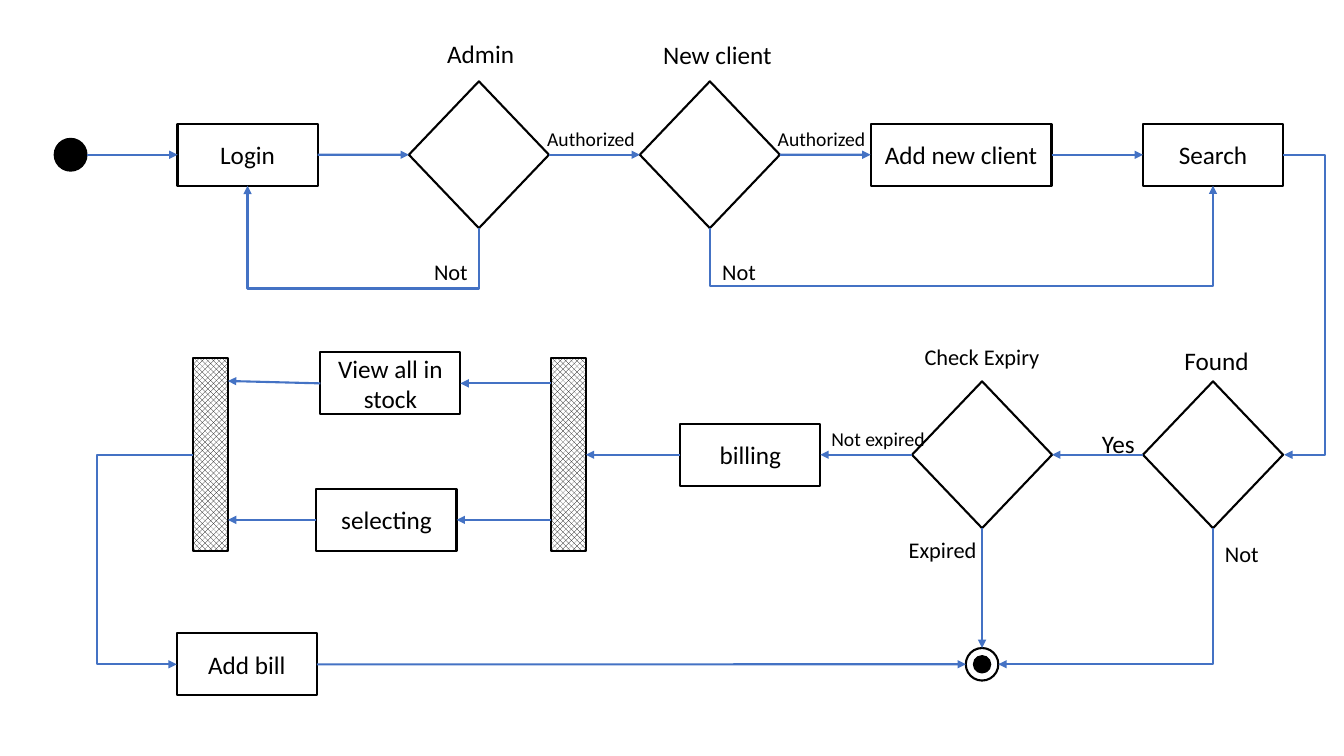
from dataclasses import dataclass

from lxml.etree import SubElement
from pptx import Presentation
from pptx.dml.color import RGBColor
from pptx.enum.dml import MSO_PATTERN
from pptx.enum.shapes import MSO_CONNECTOR, MSO_SHAPE
from pptx.enum.text import MSO_ANCHOR, PP_ALIGN
from pptx.oxml.ns import qn
from pptx.util import Cm, Pt


@dataclass(frozen=True)
class Theme:
    font: str = "Calibri"
    ink: RGBColor = RGBColor(0x00, 0x00, 0x00)
    paper: RGBColor = RGBColor(0xFF, 0xFF, 0xFF)
    arrow: RGBColor = RGBColor(0x44, 0x72, 0xC4)
    large: int = 18
    medium: int = 16
    small: int = 14
    stroke: float = 1.5
    thin: float = 1


THEME = Theme()

# Row and column centres, in centimetres
TOP, MIDDLE, BOTTOM = 3.9, 11.46, 16.74
UPPER, LOWER = 9.66, 13.1
LOGIN_X, ADMIN_X, CLIENT_X, SEARCH_X, EXPIRY_X = 6.24, 12.07, 17.89, 30.57, 24.75


def write(shape, text, size):
    frame = shape.text_frame
    frame.word_wrap = True
    para = frame.paragraphs[0]
    para.text = text
    para.font.name = THEME.font
    para.font.size = Pt(size)
    para.font.color.rgb = THEME.ink
    return para


def add_node(page, kind, x, y, width, height, fill=None, stroke=THEME.stroke):
    """Add an outlined shape centred on (x, y)."""
    node = page.shapes.add_shape(
        kind, Cm(x - width / 2), Cm(y - height / 2), Cm(width), Cm(height))
    node.shadow.inherit = False
    if fill is None:
        node.fill.background()
    else:
        node.fill.solid()
        node.fill.fore_color.rgb = fill
    node.line.color.rgb = THEME.ink
    node.line.width = Pt(stroke)
    return node


def add_activity(page, text, x, y, width=3.53):
    box = add_node(page, MSO_SHAPE.RECTANGLE, x, y, width, 1.56, THEME.paper)
    write(box, text, THEME.large).alignment = PP_ALIGN.CENTER
    box.text_frame.vertical_anchor = MSO_ANCHOR.MIDDLE
    return box


def add_decision(page, x, y):
    return add_node(page, MSO_SHAPE.DIAMOND, x, y, 3.53, 3.7)


def add_circle(page, x, y, diameter, fill, stroke):
    return add_node(page, MSO_SHAPE.OVAL, x, y, diameter, diameter, fill, stroke)


def add_bar(page, x):
    bar = add_node(page, MSO_SHAPE.FLOWCHART_PROCESS, x, MIDDLE, 0.87, 4.86)
    bar.fill.patterned()
    bar.fill.pattern = MSO_PATTERN.OUTLINED_DIAMOND
    bar.fill.fore_color.rgb = THEME.ink
    bar.fill.back_color.rgb = THEME.paper
    return bar


def add_label(page, text, left, top, width, size):
    box = page.shapes.add_textbox(Cm(left), Cm(top), Cm(width), Cm(1))
    write(box, text, size)


def left_of(shape, y=None):
    return shape.left, middle_of(shape) if y is None else Cm(y)


def right_of(shape, y=None):
    return shape.left + shape.width, middle_of(shape) if y is None else Cm(y)


def middle_of(shape):
    return shape.top + shape.height // 2


def above(shape):
    return shape.left + shape.width // 2, shape.top


def below(shape):
    return shape.left + shape.width // 2, shape.top + shape.height


def add_arrow(page, start, end, kind=MSO_CONNECTOR.STRAIGHT):
    arrow = page.shapes.add_connector(kind, *start, *end)
    arrow.line.color.rgb = THEME.arrow
    arrow.line.width = Pt(THEME.stroke)
    properties = arrow.element.spPr
    SubElement(properties.find(qn("a:ln")), qn("a:tailEnd"), type="triangle")
    SubElement(properties, qn("a:effectLst"))
    return arrow


def set_turn(arrow, start, end, turn):
    """Place the middle leg of an elbow at the given coordinate."""
    share = round((Cm(turn) - start) / (end - start) * 100000)
    guides = arrow.element.spPr.find(qn("a:prstGeom")).get_or_add_avLst()
    SubElement(guides, qn("a:gd"), name="adj1", fmla=f"val {share}")


def add_sideways_elbow(page, start, end, turn_x):
    """Leave horizontally, run down at turn_x, arrive horizontally."""
    arrow = add_arrow(page, start, end, MSO_CONNECTOR.ELBOW)
    set_turn(arrow, start[0], end[0], turn_x)


def add_downward_elbow(page, start, end, turn_y=None):
    """Leave vertically and run across at turn_y, or make one corner without it."""
    centre_x, centre_y = (start[0] + end[0]) // 2, (start[1] + end[1]) // 2
    # The frame is given before its quarter turn, so both ends are turned back.
    turned = [(centre_x + y - centre_y, centre_y - x + centre_x) for x, y in (start, end)]
    arrow = add_arrow(page, *turned, MSO_CONNECTOR.ELBOW)
    arrow.rotation = 90
    if turn_y is None:
        arrow.element.spPr.find(qn("a:prstGeom")).set("prst", "bentConnector2")
    else:
        set_turn(arrow, start[1], end[1], turn_y)


def main():
    deck = Presentation()
    deck.slide_width, deck.slide_height = Cm(33.87), Cm(19.05)
    page = deck.slides.add_slide(deck.slide_layouts[6])

    begin = add_circle(page, 1.78, TOP, 0.82, THEME.ink, THEME.thin)
    login = add_activity(page, "Login", LOGIN_X, TOP)
    admin = add_decision(page, ADMIN_X, TOP)
    new_client = add_decision(page, CLIENT_X, TOP)
    add_client = add_activity(page, "Add new client", 24.22, TOP, 4.56)
    search = add_activity(page, "Search", SEARCH_X, TOP)
    found = add_decision(page, SEARCH_X, MIDDLE)
    expiry = add_decision(page, EXPIRY_X, MIDDLE)
    billing = add_activity(page, "billing", 18.91, MIDDLE)
    fork = add_bar(page, 14.33)
    selecting = add_activity(page, "selecting", 9.74, LOWER)
    view_stock = add_activity(page, "View all in stock", 9.84, UPPER)
    join = add_bar(page, 5.31)
    add_bill = add_activity(page, "Add bill", LOGIN_X - 0.02, BOTTOM)
    finish = add_circle(page, EXPIRY_X, BOTTOM, 0.82, THEME.paper, THEME.stroke)
    add_circle(page, EXPIRY_X, BOTTOM, 0.43, THEME.ink, THEME.thin)

    top_row = [begin, login, admin, new_client, add_client, search]
    for source, target in [*zip(top_row, top_row[1:]), (add_bill, finish)]:
        add_arrow(page, right_of(source), left_of(target))
    middle_row = [found, expiry, billing, fork]
    for source, target in zip(middle_row, middle_row[1:]):
        add_arrow(page, left_of(source), right_of(target))
    for task, y, join_y in [(view_stock, UPPER, 9.6), (selecting, LOWER, LOWER)]:
        add_arrow(page, left_of(fork, y), right_of(task))
        add_arrow(page, left_of(task), right_of(join, join_y))
    add_arrow(page, below(expiry), above(finish))

    add_downward_elbow(page, below(admin), below(login), 7.27)
    add_downward_elbow(page, below(new_client), below(search), 7.21)
    add_downward_elbow(page, below(found), right_of(finish))
    found_x, found_y = right_of(found)
    add_sideways_elbow(page, right_of(search), (found_x + Cm(0.03), found_y), 33.4)
    add_sideways_elbow(page, left_of(join), left_of(add_bill), 2.45)

    for text, left, top, width, size in [
        ("Admin", 11.02, 0.84, 2.54, THEME.large),
        ("New client", 16.46, 0.86, 3.53, THEME.large),
        ("Authorized", 19.35, 3.07, 3.63, THEME.small),
        ("Authorized", 13.54, 3.07, 3.63, THEME.small),
        ("Not", 10.69, 6.38, 3.63, THEME.medium),
        ("Not", 17.95, 6.38, 3.63, THEME.medium),
        ("Not", 30.62, 13.48, 2.51, THEME.medium),
        ("Found", 29.6, 8.57, 3.53, THEME.large),
        ("Expired", 22.65, 13.38, 3.53, THEME.medium),
        ("Not expired", 20.7, 10.64, 3.76, THEME.small),
        ("Check Expiry", 23.05, 8.51, 3.53, THEME.medium),
        ("Yes", 27.52, 10.66, 3.53, THEME.large),
    ]:
        add_label(page, text, left, top, width, size)

    deck.save("out.pptx")


if __name__ == "__main__":
    main()
